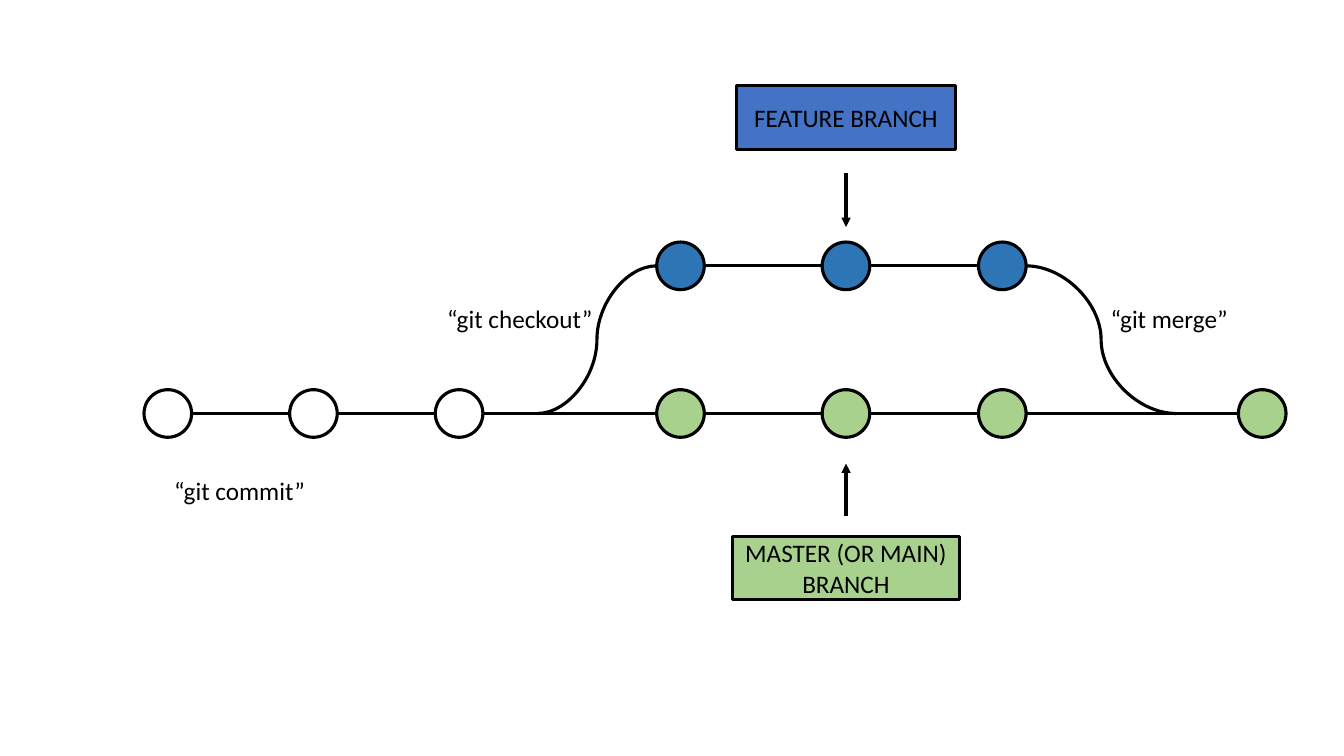
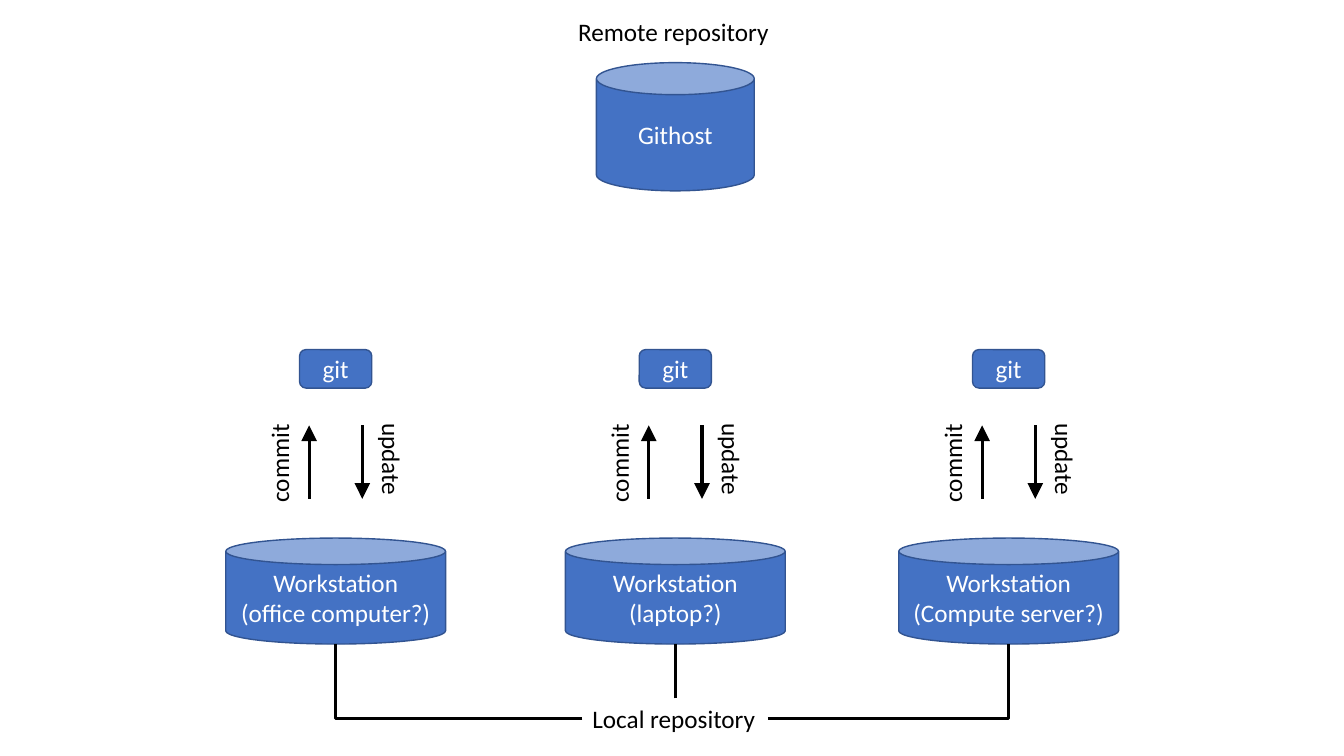
from lxml import etree
from pptx import Presentation
from pptx.dml.color import RGBColor
from pptx.enum import shapes as kinds, text as align
from pptx.oxml.ns import qn
from pptx.util import Cm, Pt

BLACK = RGBColor(0x00, 0x00, 0x00)
WHITE = RGBColor(0xFF, 0xFF, 0xFF)
BLUE = RGBColor(0x44, 0x72, 0xC4)
EDGE = RGBColor(0x32, 0x54, 0x91)
FEATURE = RGBColor(0x2E, 0x75, 0xB6)
GREEN = RGBColor(0xA9, 0xD1, 0x8E)
FONT, SIZE, HEAVY, THIN = "Calibri", 18, 2.25, 1

SHAPE = kinds.MSO_SHAPE
LINK = kinds.MSO_CONNECTOR

MAIN_Y, FEATURE_Y, RADIUS = 10.42, 6.7, 0.6
BRANCH_XS = [17.15, 21.32, 25.26]
COMMIT_ROWS = [
    (MAIN_Y, [(x, WHITE) for x in (4.23, 7.9, 11.57)]
     + [(x, GREEN) for x in BRANCH_XS + [31.81]]),
    (FEATURE_Y, [(x, FEATURE) for x in BRANCH_XS]),
]
CURVES = [
    (BRANCH_XS[0] - RADIUS, 13.54),
    (BRANCH_XS[-1] + RADIUS, 29.64),
]
BRANCH_BOXES = [
    (["FEATURE BRANCH"], BLUE, 2.16, 5.51, 4.37, 5.72),
    (["MASTER (OR MAIN)", "BRANCH"], GREEN, 13.51, 5.74, 13, 11.68),
]
COMMANDS = [
    ("“git merge”", 27.74, 7.52, 3.5),
    ("“git commit”", 4.14, 11.86, 3.84),
    ("“git checkout”", 11.02, 7.52, 4.22),
]

WORKSTATIONS = [
    (8.46, "(office computer?)"),
    (17.02, "(laptop?)"),
    (25.42, "(Compute server?)"),
]
TRANSFERS = [
    ("commit", -1, 270, 12.57, 10.72),
    ("update", 1, 90, 10.72, 12.57),
]
REPOSITORIES = [("Remote repository", 0.28, 5.36), ("Local repository", 17.6, 4.64)]
LABEL_HEIGHT = 1.02


def write(shape, lines, color, alignment):
    for index, line in enumerate(lines):
        frame = shape.text_frame
        para = frame.paragraphs[0] if index == 0 else frame.add_paragraph()
        para.alignment = alignment
        span = para.add_run()
        span.text = line
        span.font.name = FONT
        span.font.size = Pt(SIZE)
        span.font.color.rgb = color


def add_block(parent, kind, left, top, width, height, fill, edge=BLACK,
              weight=HEAVY, lines=(), color=BLACK):
    block = parent.add_shape(kind, Cm(left), Cm(top), Cm(width), Cm(height))
    block.shadow.inherit = False
    block.fill.solid()
    block.fill.fore_color.rgb = fill
    block.line.color.rgb = edge
    block.line.width = Pt(weight)
    block.text_frame.word_wrap = True
    block.text_frame.vertical_anchor = align.MSO_ANCHOR.MIDDLE
    write(block, lines, color, align.PP_ALIGN.CENTER)
    return block


def add_label(parent, words, left, top, width, wrap=False):
    box = parent.add_textbox(Cm(left), Cm(top), Cm(width), Cm(LABEL_HEIGHT))
    box.text_frame.word_wrap = wrap
    box.text_frame.auto_size = align.MSO_AUTO_SIZE.SHAPE_TO_FIT_TEXT
    write(box, [words], BLACK, align.PP_ALIGN.LEFT)
    return box


def add_link(parent, start, end, kind=LINK.STRAIGHT, head=None, preset=None):
    link = parent.add_connector(kind, *map(Cm, start + end))
    link.line.color.rgb = BLACK
    link.line.width = Pt(HEAVY)
    properties = link.element.spPr
    if head:
        etree.SubElement(properties.find(qn("a:ln")), qn("a:tailEnd"),
                         type="triangle", w=head, len=head)
    if preset:
        properties.find(qn("a:prstGeom")).set("prst", preset)
    etree.SubElement(properties, qn("a:effectLst"))


def build_branches(page):
    parent = page.shapes
    for y, commits in COMMIT_ROWS:
        for (x, _), (following, _) in zip(commits, commits[1:]):
            add_link(parent, (x + RADIUS, y), (following - RADIUS, y))
        for x, fill in commits:
            add_block(parent, SHAPE.OVAL, x - RADIUS, y - RADIUS,
                      2 * RADIUS, 2 * RADIUS, fill)
    for feature_x, main_x in CURVES:
        add_link(parent, (feature_x, FEATURE_Y), (main_x, MAIN_Y), LINK.CURVE)
    middle = BRANCH_XS[1]
    for lines, fill, top, width, start, end in BRANCH_BOXES:
        add_block(parent, SHAPE.RECTANGLE, middle - width / 2, top, width, 1.6,
                  fill, lines=lines)
        add_link(parent, (middle, start), (middle, end), head="med")
    for words, left, top, width in COMMANDS:
        add_label(parent, words, left, top, width)


def build_repositories(page):
    parent = page.shapes

    def add_node(kind, center, top, width, height, *lines):
        add_block(parent, kind, center - width / 2, top, width, height,
                  BLUE, EDGE, THIN, lines, WHITE)

    add_node(SHAPE.CAN, 17.02, 1.58, 3.98, 3.23, "Githost")
    for center, place in WORKSTATIONS:
        add_node(SHAPE.CAN, center, 13.56, 5.54, 2.67, "Workstation", place)
        add_node(SHAPE.ROUNDED_RECTANGLE, center, 8.81, 1.82, 0.97, "git")
        group = parent.add_group_shape().shapes
        for words, side, turn, start, end in TRANSFERS:
            width = 2.5
            label = add_label(group, words, center + side * 1.42 - width / 2,
                              11.66 - LABEL_HEIGHT / 2, width, wrap=True)
            label.rotation = turn
            x = center + side * 0.67
            add_link(group, (x, start), (x, end), head="lg")

    for words, top, width in REPOSITORIES:
        add_label(parent, words, 17 - width / 2, top, width)

    left, middle, right = [center for center, _ in WORKSTATIONS]
    bottom, rail = 16.23, 18.11
    add_link(parent, (middle, 17.6), (middle, bottom))
    for start, end in [(14.68, left), (19.35, right)]:
        add_link(parent, (start, rail), (end, bottom), LINK.ELBOW,
                 preset="bentConnector2")


def main():
    deck = Presentation()
    deck.slide_width, deck.slide_height = Cm(33.87), Cm(19.05)
    for build in (build_branches, build_repositories):
        build(deck.slides.add_slide(deck.slide_layouts[6]))
    deck.save("out.pptx")


if __name__ == "__main__":
    main()
